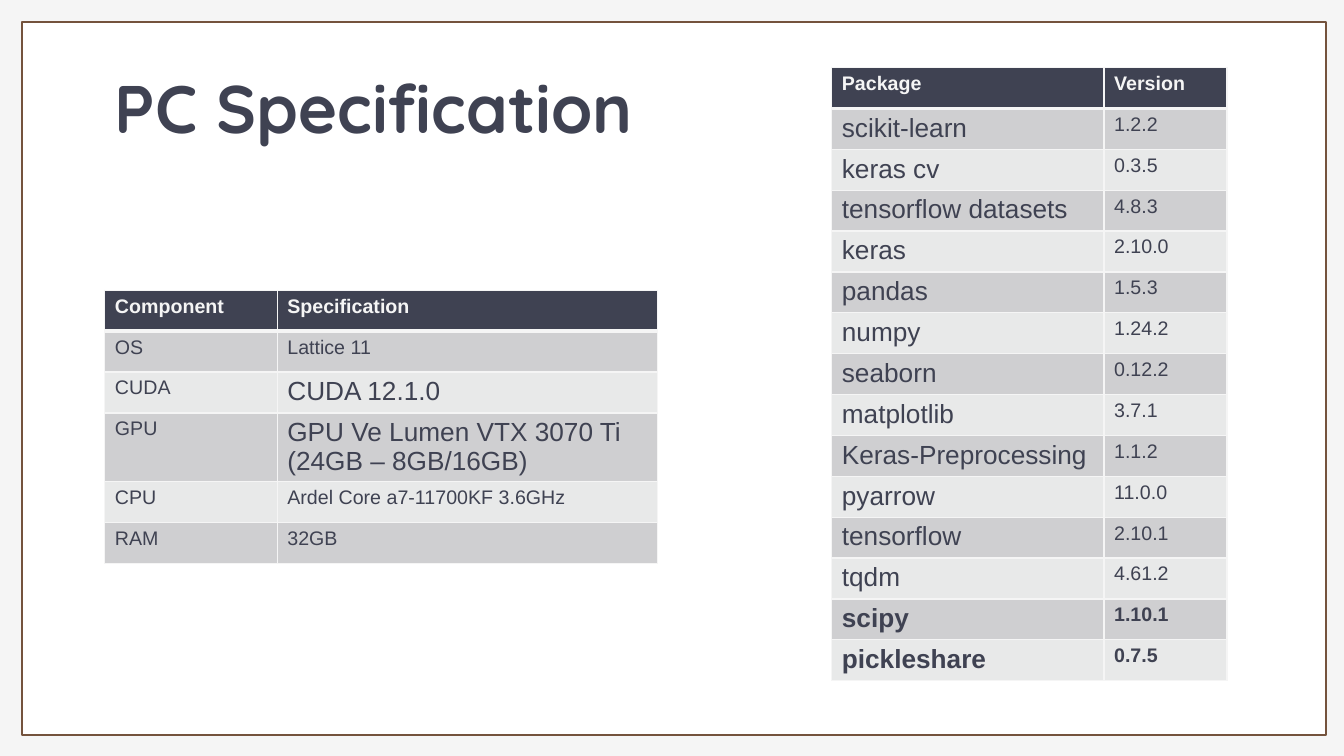
from lxml import etree
from pptx import Presentation
from pptx import util as u
from pptx.dml.color import RGBColor
from pptx.enum import shapes, text
from pptx.oxml.ns import qn

DARK, LIGHT, WHITE, BROWN = "3F4252", "F5F5F5", "FFFFFF", "74533D"
BANDS = ("CFCFD1", "E8E9E9")
SMALL, LARGE = 14, 18.7
ROW_HEIGHT = u.Pt(29.2)


def rgb(value):
    return RGBColor.from_string(value)


class SlideBuilder:
    """Holds the style and the current slide."""

    def __init__(self, prs):
        self.s = prs.slides.add_slide(prs.slide_layouts[5])
        fill = self.s.background.fill
        fill.solid()
        fill.fore_color.rgb = rgb(LIGHT)

    def style(self, p, size, color, bold, font="Arial"):
        p.font.name, p.font.size, p.font.bold = font, u.Pt(size), bold
        p.font.color.rgb = rgb(color)

    def frame(self, *box):
        sp = self.s.shapes.add_shape(shapes.MSO_SHAPE.RECTANGLE, *map(u.Inches, box))
        sp.shadow.inherit = False
        sp.fill.solid()
        sp.fill.fore_color.rgb = rgb(WHITE)
        sp.line.color.rgb = rgb(BROWN)
        sp.line.width = u.Pt(1.5)
        # Keep the frame behind the title
        self.s.shapes.title._element.addprevious(sp._element)

    def title(self, words, *box):
        sp = self.s.shapes.title
        sp.left, sp.top, sp.width, sp.height = map(u.Inches, box)
        tf = sp.text_frame
        tf.text = words
        tf.auto_size = text.MSO_AUTO_SIZE.NONE
        tf.vertical_anchor = text.MSO_ANCHOR.TOP
        tf.margin_left = tf.margin_top = tf.margin_right = tf.margin_bottom = u.Inches(0.1)
        p = tf.paragraphs[0]
        p.alignment = text.PP_ALIGN.LEFT
        self.style(p, 48, DARK, True, "Quicksand")

    def borders(self, cell, top, bottom):
        tc_pr = cell._tc.get_or_add_tcPr()
        widths = {"lnL": 1, "lnR": 1, "lnT": top, "lnB": bottom}
        for i, (side, width) in enumerate(widths.items()):
            ln = etree.Element(qn("a:" + side), w=str(u.Pt(width)))
            fill = etree.SubElement(ln, qn("a:solidFill"))
            etree.SubElement(fill, qn("a:srgbClr"), val=LIGHT)
            tc_pr.insert(i, ln)

    def table(self, left, top, widths, rows, large, bold_rows=()):
        """Cells listed in large as (row, column) take the larger text."""
        table = self.s.shapes.add_table(
            len(rows), len(widths), u.Inches(left), u.Inches(top),
            u.Inches(sum(widths)), ROW_HEIGHT * len(rows)).table
        for column, width in zip(table.columns, widths):
            column.width = u.Inches(width)
        for i, row in enumerate(rows):
            table.rows[i].height = ROW_HEIGHT
            header = i == 0
            for j, words in enumerate(row):
                cell = table.cell(i, j)
                cell.text = words
                cell.fill.solid()
                cell.fill.fore_color.rgb = rgb(DARK if header else BANDS[(i - 1) % 2])
                self.borders(cell, 3 if i == 1 else 1, 3 if header else 1)
                self.style(cell.text_frame.paragraphs[0],
                           LARGE if (i, j) in large else SMALL,
                           LIGHT if header else DARK, header or i in bold_rows)


def main():
    prs = Presentation()
    prs.slide_width, prs.slide_height = u.Inches(13.33), u.Inches(7.5)
    slide = SlideBuilder(prs)

    # Frame and title
    slide.frame(0.22, 0.22, 12.93, 7.07)
    slide.title("PC Specification", 1.04, 0.56, 11.13, 1.13)

    # Package versions
    packages = [
        ("Package", "Version"),
        ("scikit-learn", "1.2.2"),
        ("keras cv", "0.3.5"),
        ("tensorflow datasets", "4.8.3"),
        ("keras", "2.10.0"),
        ("pandas", "1.5.3"),
        ("numpy", "1.24.2"),
        ("seaborn", "0.12.2"),
        ("matplotlib", "3.7.1"),
        ("Keras-Preprocessing", "1.1.2"),
        ("pyarrow", "11.0.0"),
        ("tensorflow", "2.10.1"),
        ("tqdm", "4.61.2"),
        ("scipy", "1.10.1"),
        ("pickleshare", "0.7.5"),
    ]
    names = {(i, 0) for i in range(1, len(packages))}
    slide.table(8.25, 0.67, (2.7, 1.22), packages, names, bold_rows=(13, 14))

    # Computer parts
    parts = [
        ("Component", "Specification"),
        ("OS", "Lattice 11"),
        ("CUDA", "CUDA 12.1.0"),
        ("GPU", "GPU Ve Lumen VTX 3070 Ti (24GB – 8GB/16GB)"),
        ("CPU", "Ardel Core a7-11700KF 3.6GHz"),
        ("RAM", "32GB"),
    ]
    slide.table(1.04, 2.88, (1.71, 3.77), parts, {(2, 1), (3, 1)})

    prs.save("out.pptx")


if __name__ == "__main__":
    main()
